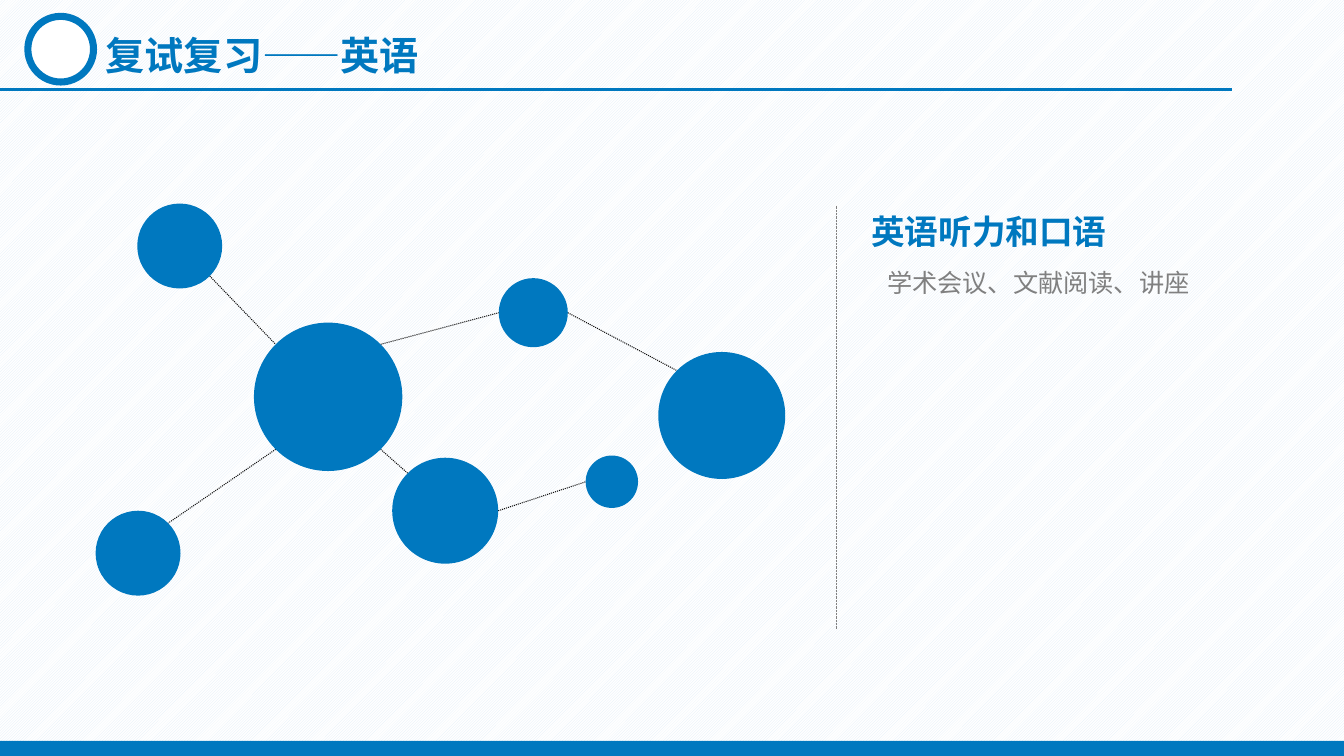
import math

from lxml import etree
from pptx import Presentation
from pptx import util as u
from pptx.dml.color import RGBColor
from pptx.enum import dml, shapes, text
from pptx.oxml.ns import qn

FONT = "Noto Sans CJK SC"
BLUE, GREY, BLACK, WHITE = "0078BF", "808080", "0D0D0D", "FFFFFF"

# Network nodes: centre x, centre y, diameter (cm)
NODES = {
    "hub": (8.27, 10, 3.74),
    "upper left": (4.53, 6.2, 2.14),
    "lower left": (3.48, 13.94, 2.14),
    "top": (13.44, 7.88, 1.74),
    "right": (18.19, 10.47, 3.2),
    "bottom": (11.22, 12.87, 2.67),
    "small": (15.42, 12.14, 1.32),
}
# Links: node and angle in degrees (clockwise from the right) at each end
LINKS = [
    ("upper left", 45, "hub", 225),
    ("hub", 135, "lower left", 315),
    ("hub", 45, "bottom", 225),
    ("hub", 315, "top", 180),
    ("top", 0, "right", 225),
    ("bottom", 0, "small", 180),
]


def color(hex_value):
    return RGBColor.from_string(hex_value)


def set_background(slide):
    fill = slide.background.fill
    fill.patterned()
    fill.pattern = dml.MSO_PATTERN.LIGHT_UPWARD_DIAGONAL
    fill.fore_color.rgb = color("DEEBF7")
    fill.back_color.rgb = color(WHITE)


def add_block(slide, kind, left, top, width, height, fill, outline=None):
    shape = slide.shapes.add_shape(kind, u.Cm(left), u.Cm(top), u.Cm(width), u.Cm(height))
    shape.shadow.inherit = False
    shape.fill.solid()
    shape.fill.fore_color.rgb = color(fill)
    if outline:
        shape.line.color.rgb = color(outline)
        shape.line.width = u.Pt(1.5)
    else:
        shape.line.fill.background()


def add_circle(slide, x, y, diameter, fill, outline=None):
    add_block(slide, shapes.MSO_SHAPE.OVAL, x - diameter / 2, y - diameter / 2,
              diameter, diameter, fill, outline)


def add_line(slide, start, end, line_color, width, dotted=True):
    line = slide.shapes.add_connector(
        shapes.MSO_CONNECTOR.STRAIGHT, *(u.Cm(value) for value in (*start, *end)))
    line.line.color.rgb = color(line_color)
    line.line.width = u.Pt(width)
    if dotted:
        line.line.dash_style = dml.MSO_LINE.ROUND_DOT
    etree.SubElement(line._element.spPr, qn("a:effectLst"))


def edge_point(node, angle):
    x, y, diameter = NODES[node]
    radians = math.radians(angle)
    return x + diameter / 2 * math.cos(radians), y + diameter / 2 * math.sin(radians)


def write_text(shape, box, words, size, text_color, bold=False,
               align=text.PP_ALIGN.LEFT, spacing=1.0, wrap=True):
    shape.left, shape.top, shape.width, shape.height = (u.Cm(value) for value in box)
    frame = shape.text_frame
    frame.text = words
    frame.word_wrap = wrap
    frame.auto_size = text.MSO_AUTO_SIZE.SHAPE_TO_FIT_TEXT
    frame.vertical_anchor = text.MSO_ANCHOR.TOP
    paragraph = frame.paragraphs[0]
    paragraph.alignment = align
    paragraph.line_spacing = spacing
    paragraph.space_before = u.Pt(0)
    # No bullet and no hanging indent
    properties = paragraph._p.get_or_add_pPr()
    properties.set("marL", "0")
    properties.set("indent", "0")
    etree.SubElement(properties, qn("a:buNone"))
    run = paragraph.runs[0]
    run.font.size = u.Pt(size)
    run.font.bold = bold
    run.font.color.rgb = color(text_color)
    run.font.name = FONT
    etree.SubElement(run._r.get_or_add_rPr(), qn("a:ea")).set("typeface", FONT)


def main():
    presentation = Presentation()
    presentation.slide_width, presentation.slide_height = u.Cm(33.87), u.Cm(19.05)
    slide = presentation.slides.add_slide(presentation.slide_layouts[1])
    set_background(slide)

    # Header and footer
    write_text(slide.shapes.title, (2.41, 0.08, 12.62, 1.83), "复试复习——英语",
               28, BLUE, bold=True, spacing=1.5)
    add_line(slide, (0, 2.26), (31.04, 2.26), BLUE, 2, dotted=False)
    add_block(slide, shapes.MSO_SHAPE.RECTANGLE, 0, 18.67, 33.87, 0.38, BLUE)
    add_circle(slide, 1.53, 1.24, 1.78, BLUE, BLUE)
    add_circle(slide, 1.53, 1.24, 1.53, WHITE, BLUE)

    # Network
    for start, start_angle, end, end_angle in LINKS:
        add_line(slide, edge_point(start, start_angle), edge_point(end, end_angle), BLACK, 0.75)
    for x, y, diameter in NODES.values():
        add_circle(slide, x, y, diameter, BLUE)

    # Topic on the right
    add_line(slide, (21.08, 5.18), (21.08, 15.85), GREY, 0.5)
    heading = slide.shapes.add_textbox(0, 0, 0, 0)
    write_text(heading, (21.67, 5.18, 6.5, 1.27), "英语听力和口语", 24, BLUE,
               bold=True, align=text.PP_ALIGN.CENTER, wrap=False)
    write_text(slide.placeholders[1], (22.1, 6.45, 9.37, 1.09), "学术会议、文献阅读、讲座",
               18, GREY, align=text.PP_ALIGN.JUSTIFY, spacing=1.2)

    presentation.save("out.pptx")


if __name__ == "__main__":
    main()
